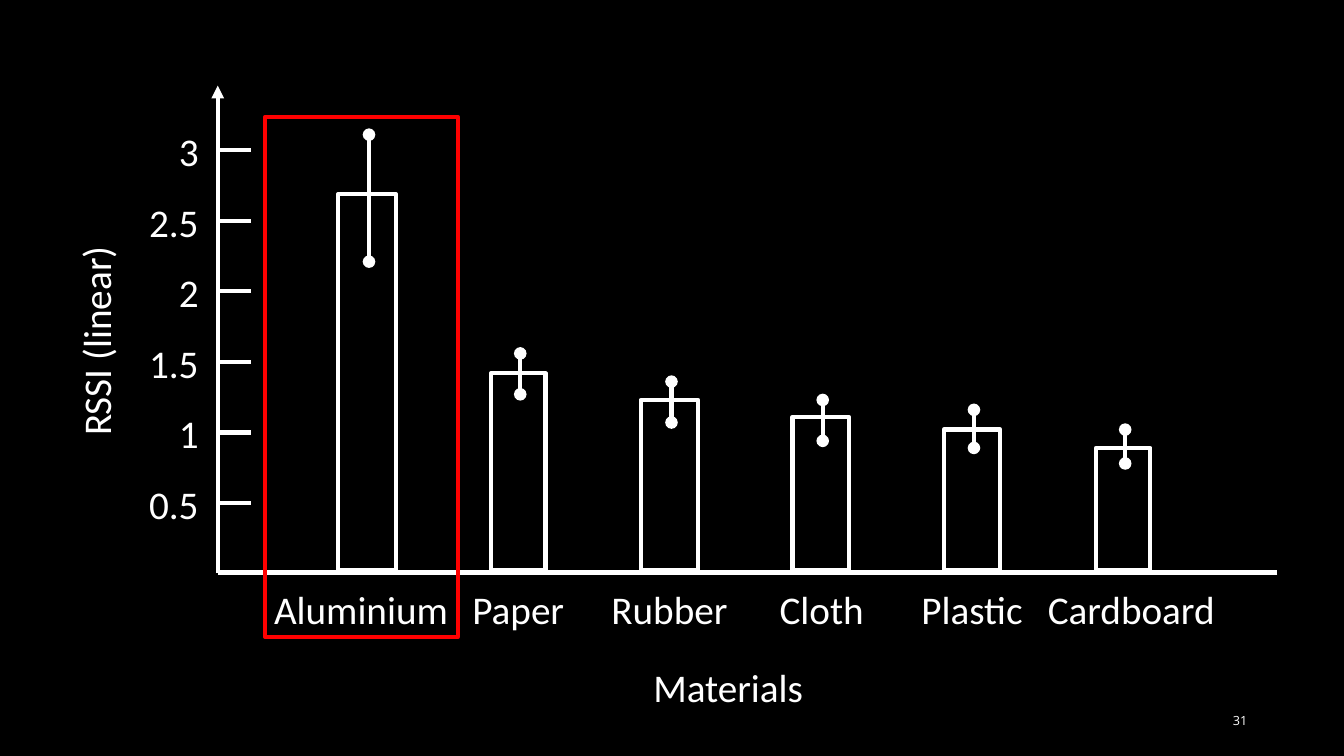
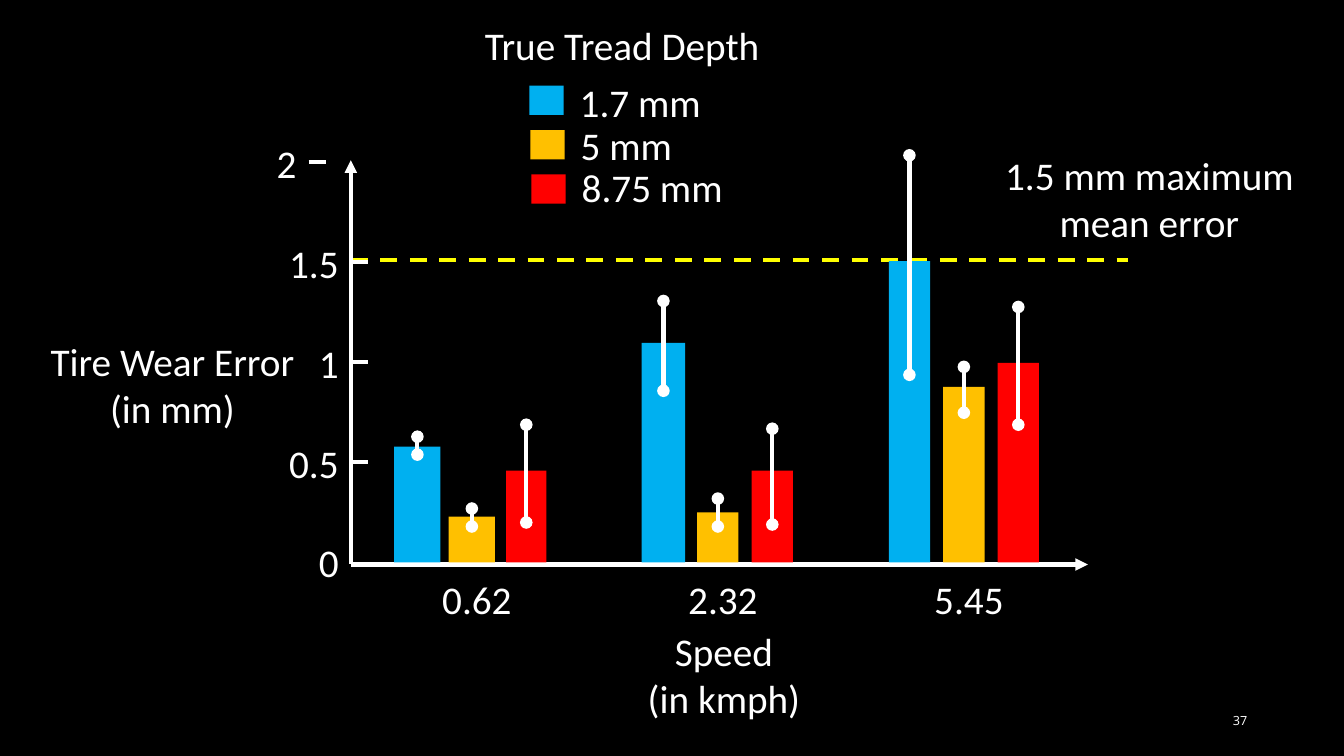
from dataclasses import dataclass
from lxml import etree
from pptx import Presentation
from pptx.dml.color import RGBColor
from pptx.enum.dml import MSO_LINE
from pptx.enum.shapes import MSO_CONNECTOR, MSO_SHAPE
from pptx.enum.text import MSO_ANCHOR, PP_ALIGN
from pptx.oxml.ns import qn
from pptx.util import Inches, Pt

LEFT, MID, RIGHT = PP_ALIGN.LEFT, PP_ALIGN.CENTER, PP_ALIGN.RIGHT
TOP, CENTER = MSO_ANCHOR.TOP, MSO_ANCHOR.MIDDLE
RECT, STRAIGHT, DASH = MSO_SHAPE.RECTANGLE, MSO_CONNECTOR.STRAIGHT, MSO_LINE.DASH


@dataclass(frozen=True)
class Theme:
    back: str = "000000"
    ink: str = "FFFFFF"
    blue: str = "00B0F0"
    gold: str = "FFC000"
    red: str = "FF0000"
    yellow: str = "FFFF00"
    font: str = "Calibri"
    foot: str = "Open Sans"
    size: int = 28
    small: int = 9
    stroke: int = 3
    inset: float = 0.05
    row: float = 0.57


@dataclass(frozen=True)
class Box:
    x: float
    y: float
    w: float
    h: float

    @property
    def right(self):
        return self.x + self.w

    @property
    def base(self):
        return self.y + self.h

    def inches(self):
        return [Inches(v) for v in (self.x, self.y, self.w, self.h)]


@dataclass(frozen=True)
class Bar:
    value: float
    low: float
    high: float
    width: float


T = Theme()


def color(code):
    return RGBColor.from_string(code)


def add_text(slide, box, lines, align=LEFT, font=T.font, size=T.size,
             anchor=TOP, wrap=True):
    shape = slide.shapes.add_textbox(*box.inches())
    frame = shape.text_frame
    frame.word_wrap = wrap
    frame.vertical_anchor = anchor
    frame.margin_left = frame.margin_right = Inches(T.inset)
    frame.margin_top = frame.margin_bottom = Inches(T.inset)
    for i, line in enumerate(lines):
        para = frame.add_paragraph() if i else frame.paragraphs[0]
        para.alignment = align
        run = para.add_run()
        run.text = line
        run.font.name = font
        run.font.size = Pt(size)
        run.font.color.rgb = color(T.ink)
    return shape


def add_label(slide, mid, top, width, *lines):
    box = Box(mid - width / 2, top, width, T.row * len(lines))
    add_text(slide, box, lines, MID)


def add_rect(slide, box, fill=None, line=None):
    shape = slide.shapes.add_shape(RECT, *box.inches())
    shape.shadow.inherit = False
    if fill:
        shape.fill.solid()
        shape.fill.fore_color.rgb = color(fill)
    else:
        shape.fill.background()
    if line:
        shape.line.color.rgb = color(line)
        shape.line.width = Pt(T.stroke)
    else:
        shape.line.fill.background()


def add_line(slide, x1, y1, x2, y2, head=None, tail=None, ink=T.ink, dash=None):
    line = slide.shapes.add_connector(
        STRAIGHT, *[Inches(v) for v in (x1, y1, x2, y2)])
    line.line.color.rgb = color(ink)
    line.line.width = Pt(T.stroke)
    if dash:
        line.line.dash_style = dash
    props = line.element.spPr
    stroke = props.find(qn("a:ln"))
    for tag, kind in (("a:headEnd", head), ("a:tailEnd", tail)):
        if kind:
            etree.SubElement(stroke, qn(tag), type=kind)
    etree.SubElement(props, qn("a:effectLst"))


def add_axes(slide, box, tip=None):
    add_line(slide, box.x, box.y, box.x, box.base, head="triangle")
    add_line(slide, box.right, box.base, box.x, box.base, head=tip)


def add_tick(slide, x, y, size, edge, name):
    if size:
        add_line(slide, x, y, x + size, y)
    add_text(slide, Box(edge - 1, y - T.row / 2 + 0.01, 1, T.row), [name], RIGHT)


def add_bar(slide, mid, zero, unit, foot, bar, fill=None, line=None):
    top = zero - bar.value * unit
    box = Box(mid - bar.width / 2, top, bar.width, foot - top)
    add_rect(slide, box, fill, line)


def add_range(slide, mid, zero, unit, bar):
    add_line(slide, mid, zero - bar.high * unit, mid, zero - bar.low * unit,
             head="oval", tail="oval")


def new_slide(deck, number):
    slide = deck.slides.add_slide(deck.slide_layouts[6])
    slide.background.fill.solid()
    slide.background.fill.fore_color.rgb = color(T.back)
    add_text(slide, Box(12.17, 7.02, 0.25, 0.25), [number], RIGHT,
             T.foot, T.small, CENTER, False)
    return slide


def signal_chart(slide, box):
    unit, zero = 1.4, box.base + 0.01
    first, step = box.x + 1.48, 1.5
    add_axes(slide, box)
    for i in range(1, 7):
        add_tick(slide, box.x, zero - i * unit / 2, 0.33, box.x - 0.14,
                 f"{i / 2:g}")
    items = [
        ("Aluminium", -0.06, Bar(2.69, 2.21, 3.11, 0.57)),
        ("Paper", 0, Bar(1.42, 1.27, 1.56, 0.54)),
        ("Rubber", 0, Bar(1.23, 1.07, 1.36, 0.57)),
        ("Cloth", 0.01, Bar(1.11, 0.94, 1.23, 0.56)),
        ("Plastic", 0, Bar(1.02, 0.89, 1.16, 0.56)),
        ("Cardboard", 0.08, Bar(0.89, 0.78, 1.02, 0.54)),
    ]
    for i, (name, nudge, bar) in enumerate(items):
        mid = first + i * step
        add_bar(slide, mid, zero, unit, box.base - 0.02, bar, line=T.ink)
        add_range(slide, mid + 0.02, zero, unit, bar)
        add_label(slide, mid + nudge, box.base + 0.08, 2.11, name)
    add_text(slide, Box(box.x + 4.27, box.base + 0.85, 2.77, T.row), ["Materials"])
    title = add_text(slide, Box(box.x - 2.43, box.y + 2.02, 2.44, T.row),
                     ["RSSI (linear)"])
    title.rotation = 270
    add_rect(slide, Box(box.x + 0.47, box.y + 0.31, 1.91, 5.16), line=T.red)


def wear_chart(slide, box, fills):
    unit, zero = 1.98, box.base - 0.04
    first, step, gap = box.x + 1.2, 2.44, 0.54
    limit = zero - 1.5 * unit - 0.01
    add_line(slide, box.x, limit, box.x + 7.71, limit, ink=T.yellow, dash=DASH)
    add_label(slide, box.x + 7.92, box.y - 0.14, 3.23, "1.5 mm maximum mean error")
    groups = [
        ("0.62", [Bar(0.57, 0.53, 0.62, 0.46), Bar(0.22, 0.17, 0.26, 0.46),
                  Bar(0.45, 0.19, 0.68, 0.4)]),
        ("2.32", [Bar(1.09, 0.85, 1.3, 0.43), Bar(0.24, 0.17, 0.31, 0.41),
                  Bar(0.45, 0.18, 0.66, 0.41)]),
        ("5.45", [Bar(1.5, 0.93, 2.03, 0.41), Bar(0.87, 0.74, 0.97, 0.41),
                  Bar(0.99, 0.68, 1.27, 0.41)]),
    ]
    add_axes(slide, box, "triangle")
    for i, (name, bars) in enumerate(groups):
        mid = first + i * step
        for j, (bar, fill) in enumerate(zip(bars, fills)):
            x = mid + (j - 1) * gap
            add_bar(slide, x, zero, unit, box.base - 0.02, bar, fill)
            add_range(slide, x, zero, unit, bar)
        add_label(slide, mid + 0.05, box.base + 0.06, 1.32, name)
    for i in range(5):
        shift = -0.42 if i == 4 else 0
        add_tick(slide, box.x + shift, zero - i * unit / 2 + 0.01,
                 0.17 if i else 0, box.x - 0.07 + shift, f"{i / 2:g}")
    add_label(slide, box.x - 1.77, box.y + 1.71, 3.74, "Tire Wear Error", "(in mm)")
    add_label(slide, box.x + 3.7, box.base + 0.57, 3.68, "Speed", "(in kmph)")


def depth_key(slide, box, items):
    add_text(slide, Box(box.x, box.y, box.w, T.row), ["True Tread Depth"], MID)
    for i, (name, fill) in enumerate(items):
        x = box.x + 0.01 * i
        add_rect(slide, Box(x + 1.07, box.y + 0.69 + 0.44 * i, 0.34, 0.29), fill)
        add_text(slide, Box(x + 1.52, box.y + 0.57 + 0.42 * i, 2.4, T.row), [name])


def main():
    deck = Presentation()
    deck.slide_width, deck.slide_height = Inches(13.33), Inches(7.5)
    signal_chart(new_slide(deck, "31"), Box(2.16, 0.85, 10.51, 4.83))
    depths = [("1.7 mm", T.blue), ("5 mm", T.gold), ("8.75 mm", T.red)]
    slide = new_slide(deck, "37")
    depth_key(slide, Box(4.18, 0.16, 3.98, 1.98), depths)
    wear_chart(slide, Box(3.48, 1.59, 7.31, 4.01), [fill for _, fill in depths])
    deck.save("out.pptx")


if __name__ == "__main__":
    main()
